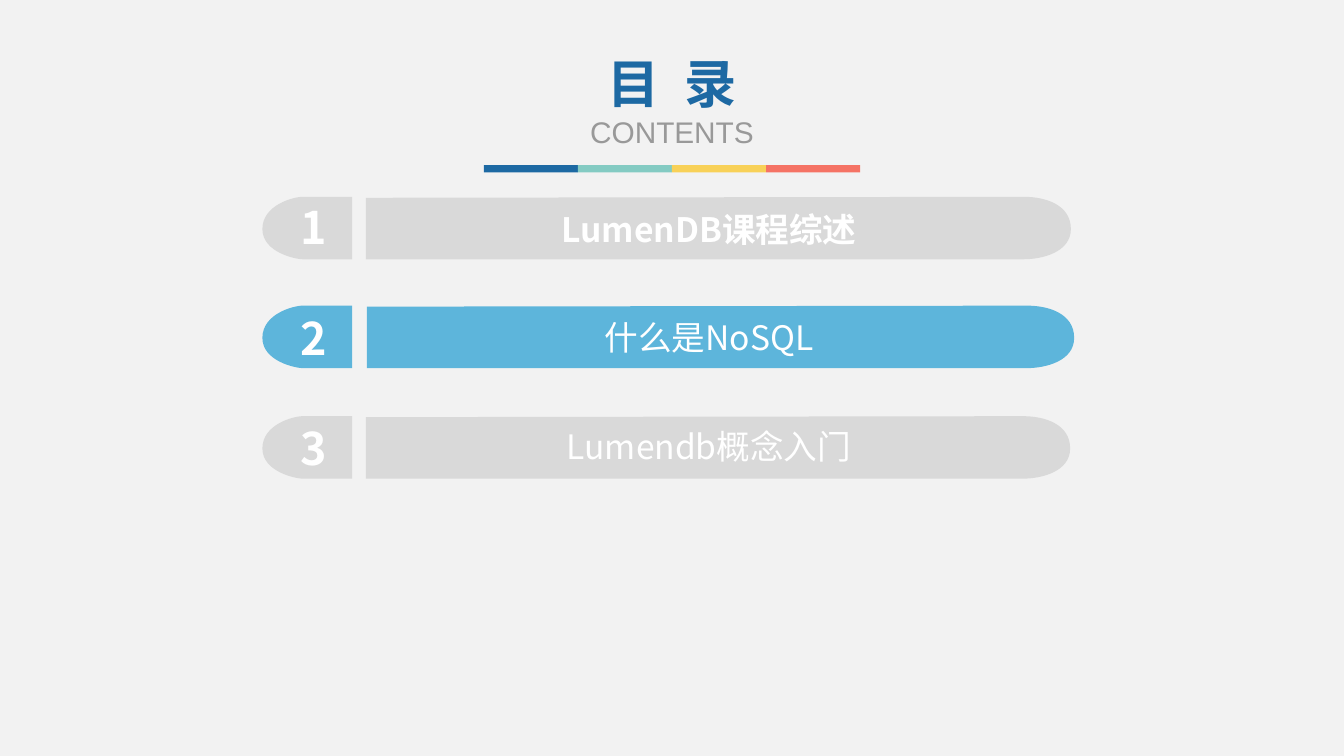
import pptx
import pptx.dml.color
import pptx.enum.shapes
import pptx.enum.text
import pptx.oxml.ns
import pptx.util

COLORS = {
    "background": "F2F2F2", "navy": "1D69A3", "teal": "84CBC3",
    "yellow": "F8D158", "coral": "F57365", "active": "5DB5DB",
    "muted": "D9D9D9", "subtitle": "999999", "white": "FFFFFF",
}
COLUMNS = 40
ROW_HEIGHT = 1.86
CHIP_LEFT, CHIP_WIDTH = 7.81, 2.67


def rounded_end(tip, inward, shoulder, reach, pull):
    def at(inset, y):
        return tip + inward * inset, y

    return [[at(shoulder, ROW_HEIGHT)],
            [at(reach, ROW_HEIGHT), at(0, 1.66), at(0, 0.96)],
            [at(0, 0.24), at(pull, 0), at(shoulder, 0)]]


class ContentsSlide:
    def __init__(self):
        self.deck = pptx.Presentation()
        self.deck.slide_width = pptx.util.Inches(13.33)
        self.deck.slide_height = pptx.util.Inches(7.5)
        self.cell = self.deck.slide_width / COLUMNS
        self.slide = self.deck.slides.add_slide(self.deck.slide_layouts[6])
        self.paint(self.slide.background.fill, "background")
        self.shapes = self.slide.shapes

    def paint(self, fill, color):
        fill.solid()
        fill.fore_color.rgb = pptx.dml.color.RGBColor.from_string(COLORS[color])

    def grid(self, *lengths):
        return [round(length * self.cell) for length in lengths]

    def group(self):
        self.shapes = self.slide.shapes.add_group_shape().shapes

    def ungroup(self):
        self.shapes = self.slide.shapes

    def finish(self, shape, color):
        shape.shadow.inherit = False
        self.paint(shape.fill, color)
        shape.line.fill.background()

    def block(self, left, top, width, height, color):
        block = self.shapes.add_shape(
            pptx.enum.shapes.MSO_SHAPE.RECTANGLE,
            *self.grid(left, top, width, height))
        self.finish(block, color)

    def outline(self, left, top, start, segments, color):
        def place(point):
            return self.grid(left + point[0], top + point[1])

        builder = self.shapes.build_freeform(*place(start))
        builder.add_line_segments(
            [place(segment[-1]) for segment in segments], close=True)
        shape = builder.convert_to_shape()
        qn = pptx.oxml.ns.qn
        sides = list(shape._element.iter(qn("a:lnTo")))
        for side, segment in zip(sides, segments):
            if len(segment) == 3:
                bend = side.makeelement(qn("a:cubicBezTo"), {})
                for point in segment:
                    x, y = place(point)
                    bend.append(bend.makeelement(qn("a:pt"), {
                        "x": str(x - shape.left), "y": str(y - shape.top)}))
                side.getparent().replace(side, bend)
        self.finish(shape, color)

    def text(self, left, top, width, height, lines, wrap=True):
        frame = self.shapes.add_textbox(
            *self.grid(left, top, width, height)).text_frame
        frame.word_wrap = wrap
        frame.text = "\n".join(line[0] for line in lines)
        for paragraph, (_, size, font, color, bold) in zip(frame.paragraphs, lines):
            paragraph.alignment = pptx.enum.text.PP_ALIGN.CENTER
            for run in paragraph.runs:
                run.font.size = pptx.util.Pt(size)
                run.font.bold = bold
                run.font.name = font
                self.paint(run.font.fill, color)
                east_asian = run.font._element.makeelement(
                    pptx.oxml.ns.qn("a:ea"), {"typeface": font})
                run.font._element.append(east_asian)

    def chapter(self, index, title, top, bar_left, bar_width, color, bold):
        self.group()
        self.outline(CHIP_LEFT, top, (CHIP_WIDTH, 0),
                     [[(CHIP_WIDTH, ROW_HEIGHT)],
                      *rounded_end(0, 1, 1.2, 1, 0.27 + 0.66)], color)
        self.outline(bar_left, top, (0, 0.03),
                     [[(0, ROW_HEIGHT)],
                      *rounded_end(bar_width, -1, 1.4, 0.87, 0.75)], color)
        font = "Noto Sans CJK SC"
        self.text(11.05, 6.06 + 3.24 * index, 20.1, 1.5,
                  [(title, 24, font, "white", bold)])
        self.text(8.63, 5.79 + 3.3 * index, 1.44, 1.92,
                  [(str(index + 1), 32, font, "white", True)], wrap=False)
        self.ungroup()


def main():
    contents = ContentsSlide()

    contents.group()
    for index, color in enumerate(("navy", "teal", "yellow", "coral")):
        contents.block(14.4 + 2.8 * index, 4.92, 2.8, 0.21, color)
    contents.ungroup()

    contents.text(16.76, 1.38, 6.48, 3.27, [
        ("目  录", 37.3, "Roboto Condensed", "navy", True),
        ("CONTENTS", 21.3, "Arial", "subtitle", False),
    ])

    chapters = (
        ("LumenDB课程综述", 5.86, 10.89, 20.98, "muted", True),
        ("什么是NoSQL", 9.1, 10.92, 21.05, "active", False),
        ("Lumendb概念入门", 12.39, 10.89, 20.96, "muted", False),
    )
    for index, chapter in enumerate(chapters):
        contents.chapter(index, *chapter)

    contents.deck.save("out.pptx")


if __name__ == "__main__":
    main()
